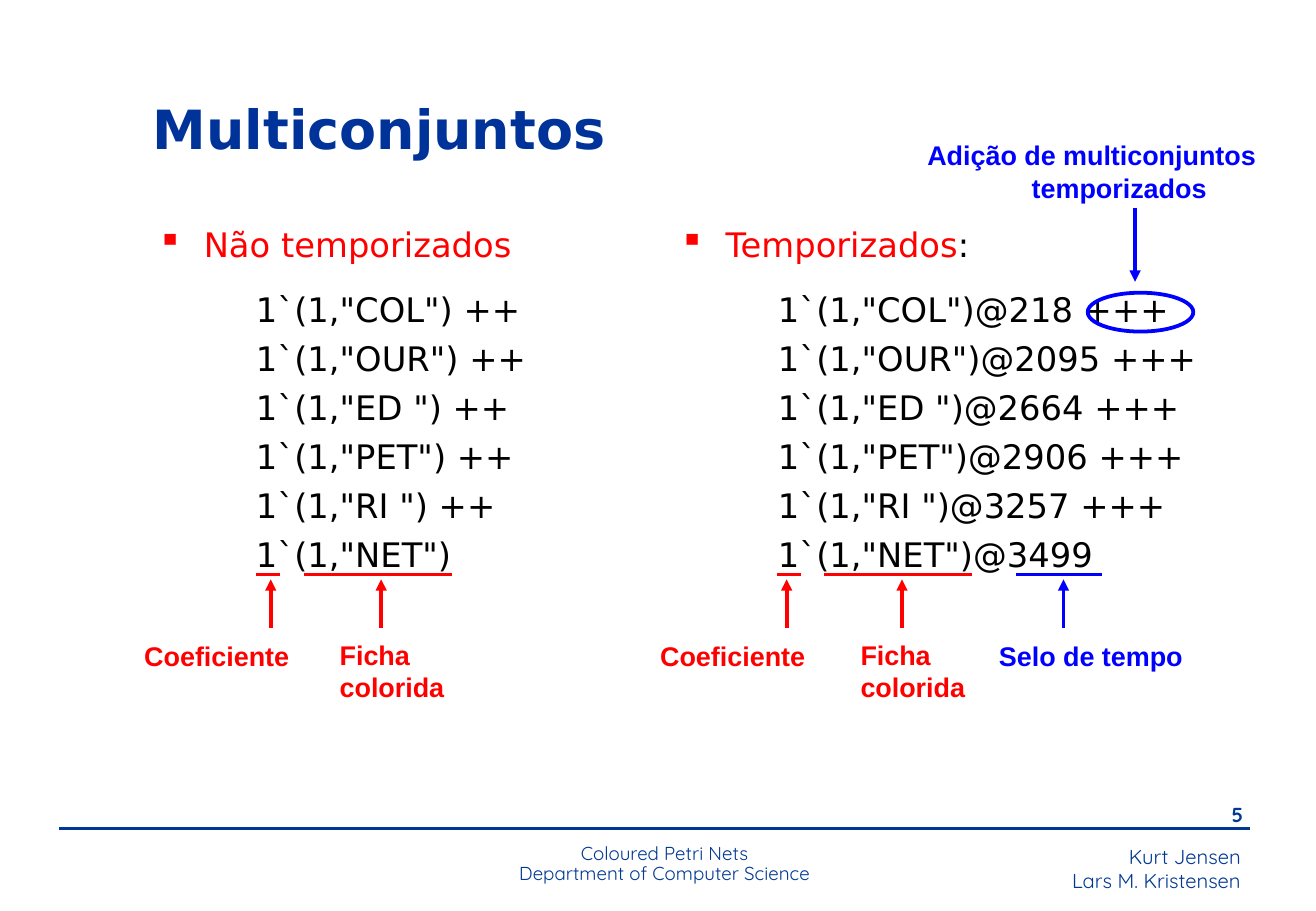
from lxml import etree
from pptx import Presentation
from pptx import util as u
from pptx.dml.color import RGBColor
from pptx.enum import shapes, text
from pptx.oxml.ns import qn

PX = 9144
NAVY, RED, BLUE, BLACK = "003893", "FF0000", "0000FF", "000000"


def rgb(hue):
    return RGBColor.from_string(hue)


def write(frame, chunks, first=False, font="Arial", size=16, hue=BLACK, bold=False,
          align="LEFT", before=0, line=None, left=0, hang=0, mark=None):
    para = frame.paragraphs[0] if first else frame.add_paragraph()
    para.alignment = getattr(text.PP_ALIGN, align)
    para.space_before = u.Pt(before)
    if line:
        para.line_spacing = line
    props = para._p.get_or_add_pPr()
    props.set("marL", str(left * PX))
    props.set("indent", str(-hang * PX))
    if mark:
        tint = etree.SubElement(props, qn("a:buClr"))
        etree.SubElement(tint, qn("a:srgbClr"), val=RED)
        etree.SubElement(props, qn("a:buChar"), char=mark)
    for words, tone in [(chunks, hue)] if isinstance(chunks, str) else chunks:
        run = para.add_run()
        run.text = words
        run.font.name, run.font.size, run.font.bold = font, u.Pt(size), bold
        run.font.color.rgb = rgb(tone)


class Deck:
    """Draws the styled elements of the current slide, in hundredths of an inch."""

    def __init__(self, wide, high):
        self.show = Presentation()
        self.show.slide_width, self.show.slide_height = wide * PX, high * PX
        self.slide = self.show.slides.add_slide(self.show.slide_layouts[6])
        self.code = dict(font="DejaVu Sans", size=20, line=u.Pt(24))
        self.note = dict(bold=True, line=u.Pt(19.5))
        self.foot = dict(font="Quicksand", size=12, hue=NAVY)

    def box(self, x, y, w, h, lines=(), anchor="TOP", **form):
        frame = self.slide.shapes.add_textbox(x * PX, y * PX, w * PX, h * PX).text_frame
        frame.word_wrap = True
        frame.vertical_anchor = getattr(text.MSO_ANCHOR, anchor)
        for i, words in enumerate(lines):
            write(frame, words, first=i == 0, **form)
        return frame

    def label(self, x, y, w, h, words, hue):
        return self.box(x, y, w, h, [words], hue=hue, **self.note)

    def line(self, x1, y1, x2, y2, hue, width=2.25, arrow=False):
        link = self.slide.shapes.add_connector(
            shapes.MSO_CONNECTOR.STRAIGHT, x1 * PX, y1 * PX, x2 * PX, y2 * PX)
        link.line.color.rgb, link.line.width = rgb(hue), u.Pt(width)
        if arrow:
            etree.SubElement(link.line._get_or_add_ln(), qn("a:tailEnd"), type="triangle")
        etree.SubElement(link._element.spPr, qn("a:effectLst"))

    def oval(self, x, y, w, h, hue):
        ring = self.slide.shapes.add_shape(
            shapes.MSO_SHAPE.OVAL, x * PX, y * PX, w * PX, h * PX)
        ring.shadow.inherit = False
        ring.fill.background()
        ring.line.color.rgb, ring.line.width = rgb(hue), u.Pt(2.25)

    def terms(self, x, w, head, rows):
        frame = self.box(x, 179, w, 303)
        write(frame, head, first=True, left=38, hang=38, mark="▪", **self.code)
        for i, row in enumerate(rows):
            write(frame, row, left=81, before=5 if i else 15, **self.code)

    def point(self, start, end, tip, hue):
        self.line(start, 473, end, 473, hue)
        self.line(tip, 517, tip, 477, hue, arrow=True)


def main():
    deck = Deck(1084, 750)
    deck.box(695, 690, 337, 50, ["Kurt Jensen", "Lars M. Kristensen"],
             align="RIGHT", **deck.foot)
    deck.box(963, 656, 71, 33, ["5"], align="RIGHT", bold=True, **deck.foot)
    deck.line(49, 682, 1030, 682, NAVY, width=1.5)
    deck.box(341, 690, 413, 47, ["Coloured Petri Nets", "Department of Computer Science"],
             align="CENTER", line=0.9, **{**deck.foot, "size": 11.1})
    deck.box(116, 71, 449, 69, ["Multiconjuntos"], anchor="MIDDLE",
             font="DejaVu Sans", size=32, hue="003399", bold=True)

    words = ["COL", "OUR", "ED ", "PET", "RI ", "NET"]
    times = [218, 2095, 2664, 2906, 3257, 3499]
    tokens = [f'1`(1,"{word}")' for word in words]
    plain = [token + " ++" for token in tokens[:-1]] + tokens[-1:]
    timed = [f"{token}@{time} +++" for token, time in zip(tokens, times)]
    timed[-1] = timed[-1].removesuffix(" +++")
    deck.terms(120, 425, [("Não temporizados", RED)], plain)
    deck.terms(550, 484, [("Temporizados", RED), (":", BLACK)], timed)

    for x, tip, token, name in ((211, 223, 314, 109), (640, 648, 743, 534)):
        deck.point(x, x + 20, tip, RED)
        deck.point(x + 39, x + 161, token, RED)
        deck.label(name, 521, 146, 37, "Coeficiente", RED)
        deck.label(x + 59, 520, 120, 64, "Ficha colorida", RED)
    deck.point(837, 908, 876, BLUE)
    deck.label(813, 521, 181, 37, "Selo de tempo", BLUE)

    frame = deck.label(754, 109, 299, 64, "Adição de multiconjuntos", BLUE)
    write(frame, "temporizados", hue=BLUE, left=86, **deck.note)
    deck.line(935, 171, 935, 232, BLUE, arrow=True)
    deck.oval(896, 241, 87, 32, BLUE)
    deck.show.save("out.pptx")


if __name__ == "__main__":
    main()
